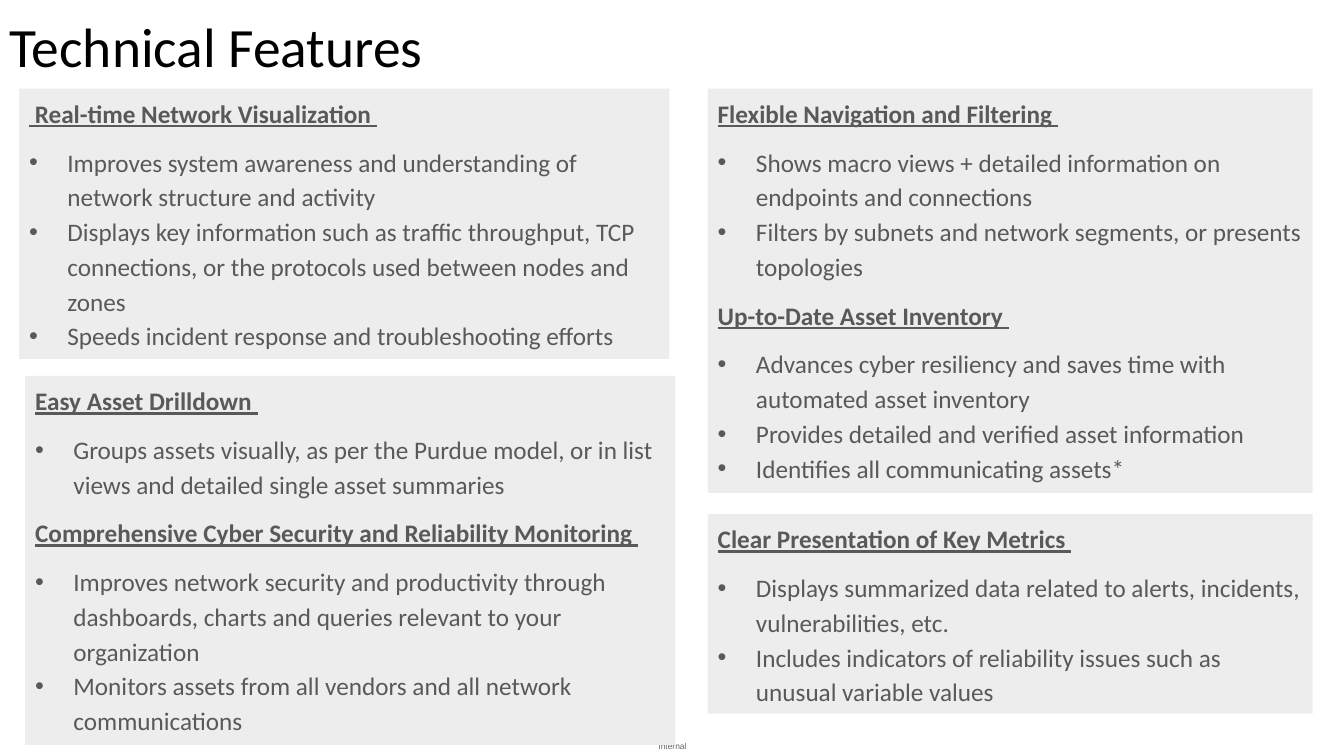
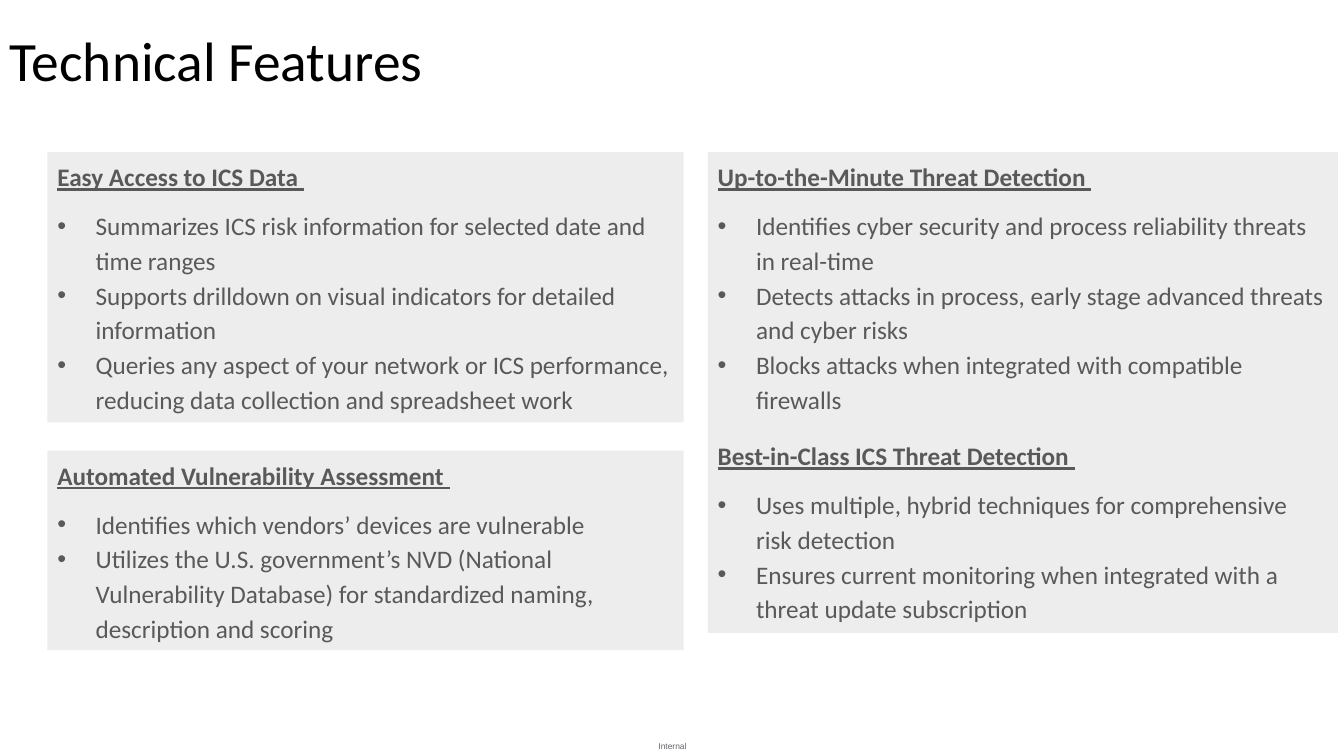
import pptx
import pptx.dml.color
import pptx.enum.shapes
import pptx.enum.text
import pptx.oxml.ns
import pptx.util
from dataclasses import dataclass
from lxml import etree

Inches = pptx.util.Inches
Pt = pptx.util.Pt
ALIGN = pptx.enum.text.PP_ALIGN
ANCHOR = pptx.enum.text.MSO_ANCHOR


@dataclass(frozen=True)
class Theme:
    title_color: str = "000000"
    body_color: str = "595959"
    footer_color: str = "626469"
    panel_fill: str = "EDEDED"
    font: str = "Calibri"
    footer_font: str = "Arial"
    title_size: float = 39.6
    body_size: float = 18
    footer_size: float = 6
    space_after: float = 10
    bullet_indent: float = 0.38


theme = Theme()


def add_text(frame, text, *, size, color, font=theme.font, bold=False, underline=False,
             align=ALIGN.LEFT, line_spacing=1.0, after=0, bullet=False):
    """Fill the frame's empty first paragraph, or append a new one."""
    first = frame.paragraphs[0]
    paragraph = frame.add_paragraph() if first.runs else first
    paragraph.alignment = align
    paragraph.line_spacing = line_spacing
    paragraph.space_after = Pt(after)
    if bullet:
        properties = paragraph._p.get_or_add_pPr()
        properties.set("marL", str(Inches(theme.bullet_indent)))
        properties.set("indent", str(-Inches(theme.bullet_indent)))
        for tag, attribute, value in (("a:buFont", "typeface", "Arial"), ("a:buChar", "char", "•")):
            etree.SubElement(properties, pptx.oxml.ns.qn(tag)).set(attribute, value)
    run = paragraph.add_run()
    run.text = text
    run.font.size = Pt(size)
    run.font.name = font
    run.font.bold = bold
    run.font.underline = underline
    run.font.color.rgb = pptx.dml.color.RGBColor.from_string(color)


# Each slide: title top, then panels as (left, top, width, height), gap between sections, sections
slides = [
    (0.11, [
        ((0.19, 0.88, 6.45, 2.68), theme.space_after, [
            (" Real-time Network Visualization ", [
                "Improves system awareness and understanding of network structure and activity",
                "Displays key information such as traffic throughput, TCP connections, "
                "or the protocols used between nodes and zones",
                "Speeds incident response and troubleshooting efforts",
            ]),
        ]),
        ((7.02, 0.88, 6, 4.01), theme.space_after, [
            ("Flexible Navigation and Filtering ", [
                "Shows macro views + detailed information on endpoints and connections",
                "Filters by subnets and network segments, or presents topologies",
            ]),
            ("Up-to-Date Asset Inventory ", [
                "Advances cyber resiliency and saves time with automated asset inventory",
                "Provides detailed and verified asset information",
                "Identifies all communicating assets*",
            ]),
        ]),
        ((0.25, 3.73, 6.45, 3.66), theme.space_after, [
            ("Easy Asset Drilldown ", [
                "Groups assets visually, as per the Purdue model, or in list views "
                "and detailed single asset summaries",
            ]),
            ("Comprehensive Cyber Security and Reliability Monitoring ", [
                "Improves network security and productivity through dashboards, "
                "charts and queries relevant to your organization",
                "Monitors assets from all vendors and all network communications",
            ]),
        ]),
        ((7.02, 5.1, 6, 1.98), theme.space_after, [
            ("Clear Presentation of Key Metrics ", [
                "Displays summarized data related to alerts, incidents, vulnerabilities, etc.",
                "Includes indicators of reliability issues such as unusual variable values",
            ]),
        ]),
    ]),
    (0.25, [
        ((0.47, 1.51, 6.31, 2.68), theme.space_after, [
            ("Easy Access to ICS Data ", [
                "Summarizes ICS risk information for selected date and time ranges",
                "Supports drilldown on visual indicators for detailed information",
                "Queries any aspect of your network or ICS performance, "
                "reducing data collection and spreadsheet work",
            ]),
        ]),
        ((7.02, 1.51, 6.25, 4.77), 15.5, [
            ("Up-to-the-Minute Threat Detection ", [
                "Identifies cyber security and process reliability threats in real-time",
                "Detects attacks in process, early stage advanced threats and cyber risks",
                "Blocks attacks when integrated with compatible firewalls",
            ]),
            ("Best-in-Class ICS Threat Detection ", [
                "Uses multiple, hybrid techniques for comprehensive risk detection",
                "Ensures current monitoring when integrated with a threat update subscription",
            ]),
        ]),
        ((0.47, 4.47, 6.31, 1.98), theme.space_after, [
            ("Automated Vulnerability Assessment ", [
                "Identifies which vendors’ devices are vulnerable",
                "Utilizes the U.S. government’s NVD (National Vulnerability Database) "
                "for standardized naming, description and scoring",
            ]),
        ]),
    ]),
]

presentation = pptx.Presentation()
presentation.slide_width = Inches(13.33)
presentation.slide_height = Inches(7.5)
blank_layout = presentation.slide_layouts[6]
body = dict(size=theme.body_size, color=theme.body_color, line_spacing=1.15)

for title_top, panels in slides:
    slide = presentation.slides.add_slide(blank_layout)

    footer = slide.shapes.add_textbox(Inches(6.42), Inches(7.3), Inches(0.5), Inches(0.2)).text_frame
    footer.margin_left = footer.margin_right = footer.margin_top = footer.margin_bottom = 0
    footer.word_wrap = True
    footer.vertical_anchor = ANCHOR.MIDDLE
    add_text(footer, "Internal", size=theme.footer_size, color=theme.footer_color,
             font=theme.footer_font, align=ALIGN.CENTER)

    title = slide.shapes.add_textbox(0, Inches(title_top), Inches(7.65), Inches(0.76)).text_frame
    title.word_wrap = True
    title.vertical_anchor = ANCHOR.MIDDLE
    add_text(title, "Technical Features", size=theme.title_size, color=theme.title_color,
             line_spacing=0.9)

    for box, section_gap, sections in panels:
        panel = slide.shapes.add_shape(pptx.enum.shapes.MSO_SHAPE.RECTANGLE, *map(Inches, box))
        panel.shadow.inherit = False
        panel.fill.solid()
        panel.fill.fore_color.rgb = pptx.dml.color.RGBColor.from_string(theme.panel_fill)
        panel.line.fill.background()
        features = panel.text_frame
        features.word_wrap = True
        features.vertical_anchor = ANCHOR.TOP
        for heading, points in sections:
            add_text(features, heading, bold=True, underline=True, after=theme.space_after, **body)
            for number, point in enumerate(points, 1):
                after = section_gap if number == len(points) else 0
                add_text(features, point, bullet=True, after=after, **body)

presentation.save("out.pptx")
